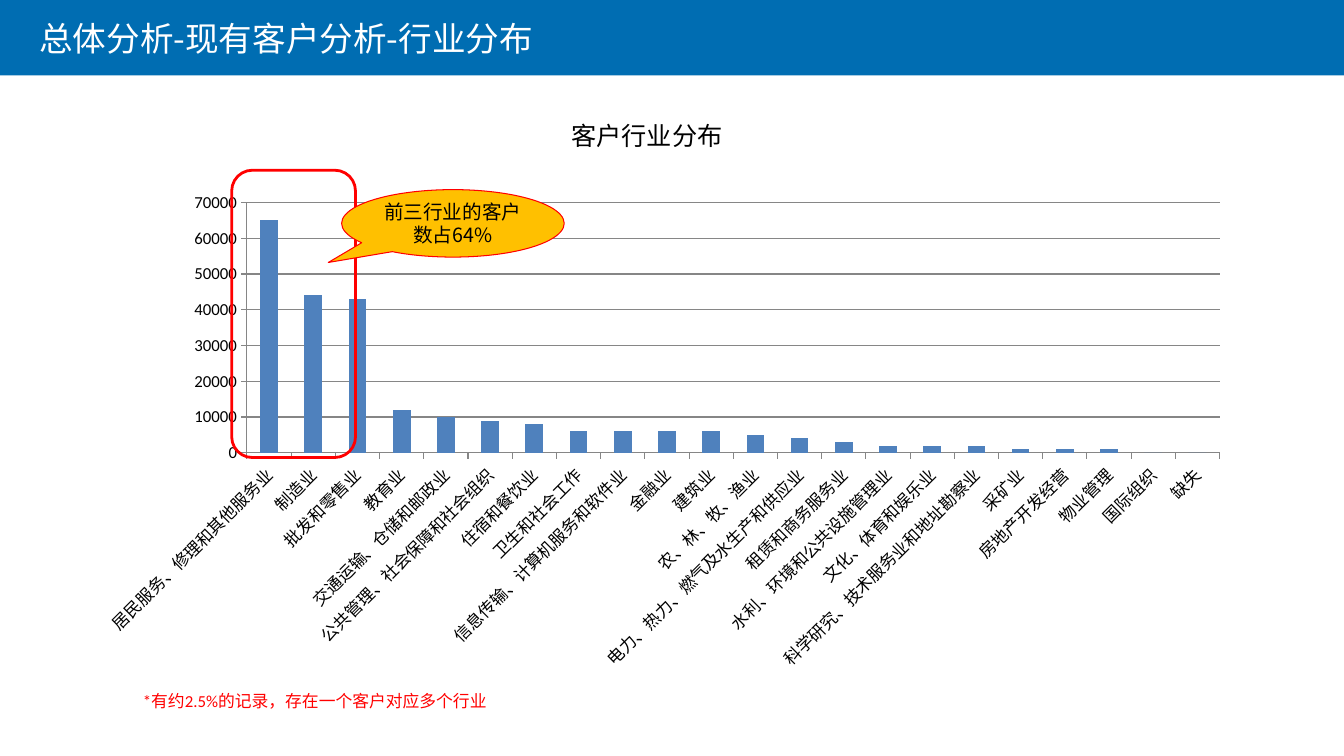
from lxml.etree import SubElement
from pptx import Presentation
from pptx.chart.data import CategoryChartData
from pptx.dml.color import RGBColor
from pptx.enum.chart import XL_CHART_TYPE, XL_TICK_MARK
from pptx.enum.shapes import MSO_SHAPE
from pptx.enum.text import MSO_ANCHOR, PP_ALIGN
from pptx.oxml.ns import qn
from pptx.util import Cm, Pt

COLORS = {
    "banner": "006DB2",
    "white": "FFFFFF",
    "black": "000000",
    "red": "FF0000",
    "amber": "FFC000",
    "bar": "4F81BD",
    "grid": "868686",
}
CJK = "Noto Sans CJK SC"
LATIN = "Calibri"

CUSTOMERS = {
    "居民服务、修理和其他服务业": 65000,
    "制造业": 44000,
    "批发和零售业": 43000,
    "教育业": 12000,
    "交通运输、仓储和邮政业": 10000,
    "公共管理、社会保障和社会组织": 9000,
    "住宿和餐饮业": 8000,
    "卫生和社会工作": 6000,
    "信息传输、计算机服务和软件业": 6000,
    "金融业": 6000,
    "建筑业": 6000,
    "农、林、牧、渔业": 5000,
    "电力、热力、燃气及水生产和供应业": 4000,
    "租赁和商务服务业": 3000,
    "水利、环境和公共设施管理业": 2000,
    "文化、体育和娱乐业": 2000,
    "科学研究、技术服务业和地址勘察业": 2000,
    "采矿业": 1000,
    "房地产开发经营": 1000,
    "物业管理": 1000,
    "国际组织": 0,
    "缺失": 0,
}


def color(name):
    return RGBColor.from_string(COLORS[name])


class SlideBuilder:
    """Adds styled elements to one slide; boxes are (left, top, width, height) in cm."""

    def __init__(self, slide):
        self.shapes = slide.shapes

    def fill_text(self, frame, words, size, ink, font=CJK, align=PP_ALIGN.LEFT):
        frame.word_wrap = True
        paragraph = frame.paragraphs[0]
        paragraph.text = words
        paragraph.alignment = align
        paragraph.font.size = Pt(size)
        paragraph.font.name = font
        paragraph.font.color.rgb = color(ink)
        defaults = paragraph._p.pPr.find(qn("a:defRPr"))
        SubElement(defaults, qn("a:ea")).set("typeface", CJK)

    def text(self, box, words, size, ink, font=CJK):
        frame = self.shapes.add_textbox(*map(Cm, box)).text_frame
        self.fill_text(frame, words, size, ink, font)

    def shape(self, kind, box, fill=None, line=None, width=0.75):
        shape = self.shapes.add_shape(kind, *map(Cm, box))
        shape.shadow.inherit = False
        if fill:
            shape.fill.solid()
            shape.fill.fore_color.rgb = color(fill)
        else:
            shape.fill.background()
        if line:
            shape.line.color.rgb = color(line)
            shape.line.width = Pt(width)
        else:
            shape.line.fill.background()
        return shape

    def callout(self, box, words, tip):
        callout = self.shape(MSO_SHAPE.OVAL_CALLOUT, box, "amber", "red")
        callout.adjustments[0], callout.adjustments[1] = tip
        callout.text_frame.vertical_anchor = MSO_ANCHOR.MIDDLE
        self.fill_text(callout.text_frame, words, 14, "black", align=PP_ALIGN.CENTER)

    def column_chart(self, box, values):
        data = CategoryChartData()
        data.categories = list(values)
        data.add_series("客户数", list(values.values()))
        chart = self.shapes.add_chart(
            XL_CHART_TYPE.COLUMN_CLUSTERED, *map(Cm, box), data).chart
        chart.has_legend = False
        chart.has_title = False
        chart.font.size = Pt(10)
        chart.font.name = LATIN
        chart.font.color.rgb = color("black")

        plot = chart.plots[0]
        plot.gap_width = 150
        plot.vary_by_categories = False
        bars = plot.series[0].format.fill
        bars.solid()
        bars.fore_color.rgb = color("bar")

        for axis in (chart.category_axis, chart.value_axis):
            axis.major_tick_mark = XL_TICK_MARK.OUTSIDE
            axis.minor_tick_mark = XL_TICK_MARK.NONE
            axis.format.line.color.rgb = color("grid")
            axis.tick_labels.font.size = Pt(12)
            axis.tick_labels.font.name = LATIN
            axis.tick_labels.font.color.rgb = color("black")
        slant = chart.category_axis._element.txPr.find(qn("a:bodyPr"))
        slant.set("rot", "-2700000")
        counts = chart.value_axis
        counts.minimum_scale, counts.maximum_scale = 0, 70000
        counts.major_unit = 10000
        counts.has_major_gridlines = True
        counts.major_gridlines.format.line.color.rgb = color("grid")


def main():
    deck = Presentation()
    deck.slide_width, deck.slide_height = Cm(33.87), Cm(19.05)
    page = SlideBuilder(deck.slides.add_slide(deck.slide_layouts[6]))

    page.shape(MSO_SHAPE.RECTANGLE, (0, 0, 33.87, 1.9), "banner")
    page.text((0.74, 0.33, 24.4, 1.28), "总体分析-现有客户分析-行业分布", 24, "white")
    page.text((14.15, 2.9, 4.4, 1.03), "客户行业分布", 18, "black")
    page.column_chart((2.08, 4.6, 29.24, 12.55), CUSTOMERS)
    page.shape(MSO_SHAPE.ROUNDED_RECTANGLE, (5.84, 4.29, 3.12, 7.24),
               line="red", width=2)
    page.callout((8.61, 4.78, 5.61, 1.7), "前三行业的客户数占64%", (-0.56, 0.58))
    page.text((3.35, 17.27, 9.27, 0.76),
              "*有约2.5%的记录，存在一个客户对应多个行业", 12, "red", LATIN)

    deck.save("out.pptx")


if __name__ == "__main__":
    main()
